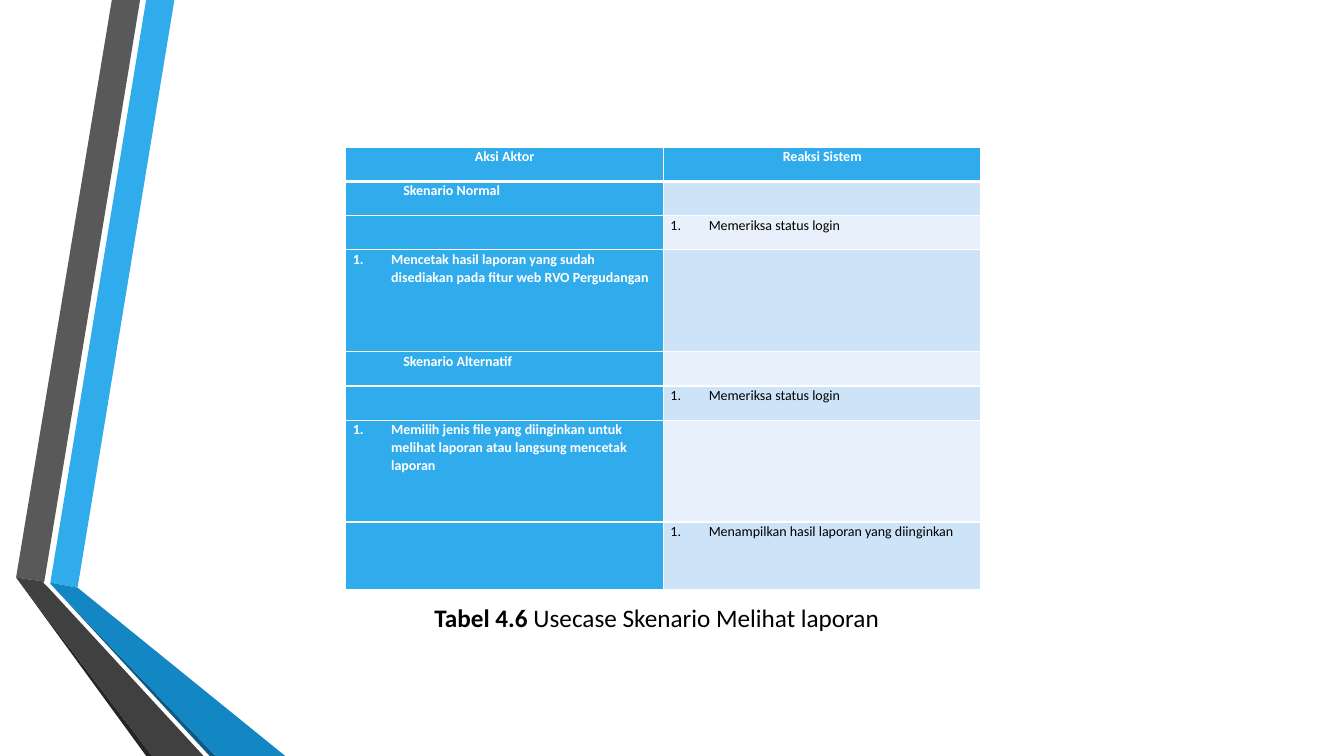
from lxml.etree import SubElement as add_element
from pptx import Presentation
from pptx.dml.color import RGBColor
from pptx.enum.text import MSO_AUTO_SIZE as AutoSize, PP_ALIGN as Align
from pptx.oxml.ns import qn
from pptx.util import Inches, Pt

COLORS = {
    "white": "FFFFFF", "black": "000000", "blue": "30ACEC",
    "band_dark": "CDE3F8", "band_light": "E8F1FB",
    "gray": "595959", "gray_fold": "404040", "gray_edge": "262626",
    "blue_fold": "1287C3", "blue_edge": "0C5A82",
}
RIBBONS = [
    ("blue", [(0.5, 5.78), (0.77, 5.83), (1.73, 0), (1.45, 0)]),
    ("gray", [(1.39, 0), (1.11, 0), (0.16, 5.73), (0.44, 5.77)]),
    ("gray_edge", [(0.16, 5.73), (1.45, 7.5), (1.51, 7.5)]),
    ("blue_edge", [(0.5, 5.79), (2.08, 7.5), (2.14, 7.5)]),
    ("blue_fold", [(0.5, 5.79), (2.14, 7.5), (2.83, 7.5), (0.77, 5.83), (0.5, 5.78)]),
    ("gray_fold", [(2.02, 7.5), (0.48, 5.83), (0.43, 5.78), (0.44, 5.77),
                   (0.16, 5.73), (1.51, 7.5)]),
]
SCENARIO_ROWS = [
    (0.34, "header", "Aksi Aktor", "Reaksi Sistem"),
    (0.34, "section", "Skenario Normal", ""),
    (0.34, "step", "", "Memeriksa status login"),
    (1.01, "step", "Mencetak hasil laporan yang sudah disediakan pada fitur web RVO Pergudangan", ""),
    (0.34, "section", "Skenario Alternatif", ""),
    (0.34, "step", "", "Memeriksa status login"),
    (1.01, "step", "Memilih jenis file yang diinginkan untuk melihat laporan atau langsung mencetak laporan", ""),
    (0.67, "step", "", "Menampilkan hasil laporan yang diinginkan"),
]


def rgb(name):
    """Return the named palette colour."""
    return RGBColor.from_string(COLORS[name])


def style_font(font, size, color, bold):
    """Set the slide's typeface with a size, colour and weight."""
    font.name, font.size, font.bold = "Calibri", Pt(size), bold
    font.color.rgb = rgb(color)


def add_ribbons(page, left, top):
    """Draw the folded ribbons from the given corner."""
    for color, points in RIBBONS:
        corners = [(Inches(left + x), Inches(top + y)) for x, y in points]
        builder = page.shapes.build_freeform(*corners[0], scale=1.0)
        builder.add_line_segments(corners[1:], close=True)
        ribbon = builder.convert_to_shape()
        ribbon.shadow.inherit = False
        ribbon.fill.solid()
        ribbon.fill.fore_color.rgb = rgb(color)
        ribbon.line.fill.background()


def set_borders(cell, top, bottom):
    """Give a cell white borders with the given top and bottom widths."""
    properties = cell._tc.get_or_add_tcPr()
    for side, width in (("L", 1), ("R", 1), ("T", top), ("B", bottom)):
        line = add_element(properties, qn(f"a:ln{side}"), w=str(Pt(width)))
        fill = add_element(line, qn("a:solidFill"))
        add_element(fill, qn("a:srgbClr"), val=COLORS["white"])


def fill_cell(cell, text, kind, fill, color, bold):
    """Write one scenario cell with its indent or number."""
    cell.margin_left = cell.margin_right = Inches(0.07)
    cell.margin_top = cell.margin_bottom = 0
    cell.fill.solid()
    cell.fill.fore_color.rgb = rgb(fill)
    cell.text = text
    para = cell.text_frame.paragraphs[0]
    if text and kind != "header":
        properties = para._p.get_or_add_pPr()
        indent = 0.5 if kind == "section" else 0.38
        properties.set("marL", str(Inches(indent)))
        if kind == "step":
            properties.set("indent", str(-Inches(indent)))
            add_element(properties, qn("a:buAutoNum"), type="arabicPeriod")
    para.alignment = Align.CENTER if kind == "header" else Align.LEFT
    para.line_spacing = 1.07
    style_font(para.font, 10, color, bold)


def add_scenario_table(page, left, top, width):
    """Build the table of actor actions and system reactions."""
    height = sum(row[0] for row in SCENARIO_ROWS)
    frame = page.shapes.add_table(len(SCENARIO_ROWS), 2, Inches(left), Inches(top),
                                  Inches(width), Inches(height))
    table = frame.table
    table.first_col = True
    for index, (row_height, kind, action, reaction) in enumerate(SCENARIO_ROWS):
        table.rows[index].height = Inches(row_height)
        band = "band_dark" if index % 2 else "band_light"
        for column, text in enumerate((action, reaction)):
            cell = table.cell(index, column)
            set_borders(cell, 3 if index == 1 else 1, 3 if index == 0 else 1)
            strong = kind == "header" or column == 0
            fill_cell(cell, text, kind, "blue" if strong else band,
                      "white" if strong else "black", strong)


def add_caption(page, left, top, width, height):
    """Write the table caption with its bold number."""
    box = page.shapes.add_textbox(Inches(left), Inches(top), Inches(width), Inches(height))
    box.text_frame.word_wrap = False
    box.text_frame.auto_size = AutoSize.SHAPE_TO_FIT_TEXT
    para = box.text_frame.paragraphs[0]
    for text, bold in (("Tabel 4.6 ", True), ("Usecase Skenario Melihat laporan", False)):
        span = para.add_run()
        span.text = text
        style_font(span.font, 18, "black", bold)


def main():
    """Build and save the deck."""
    deck = Presentation()
    deck.slide_width, deck.slide_height = Inches(13.33), Inches(7.5)
    page = deck.slides.add_slide(deck.slide_layouts[6])
    page.background.fill.solid()
    page.background.fill.fore_color.rgb = rgb("white")
    add_ribbons(page, 0, 0)
    add_scenario_table(page, 3.43, 1.46, 6.3)
    add_caption(page, 4.21, 5.93, 4.74, 0.4)
    deck.save("out.pptx")


if __name__ == "__main__":
    main()
